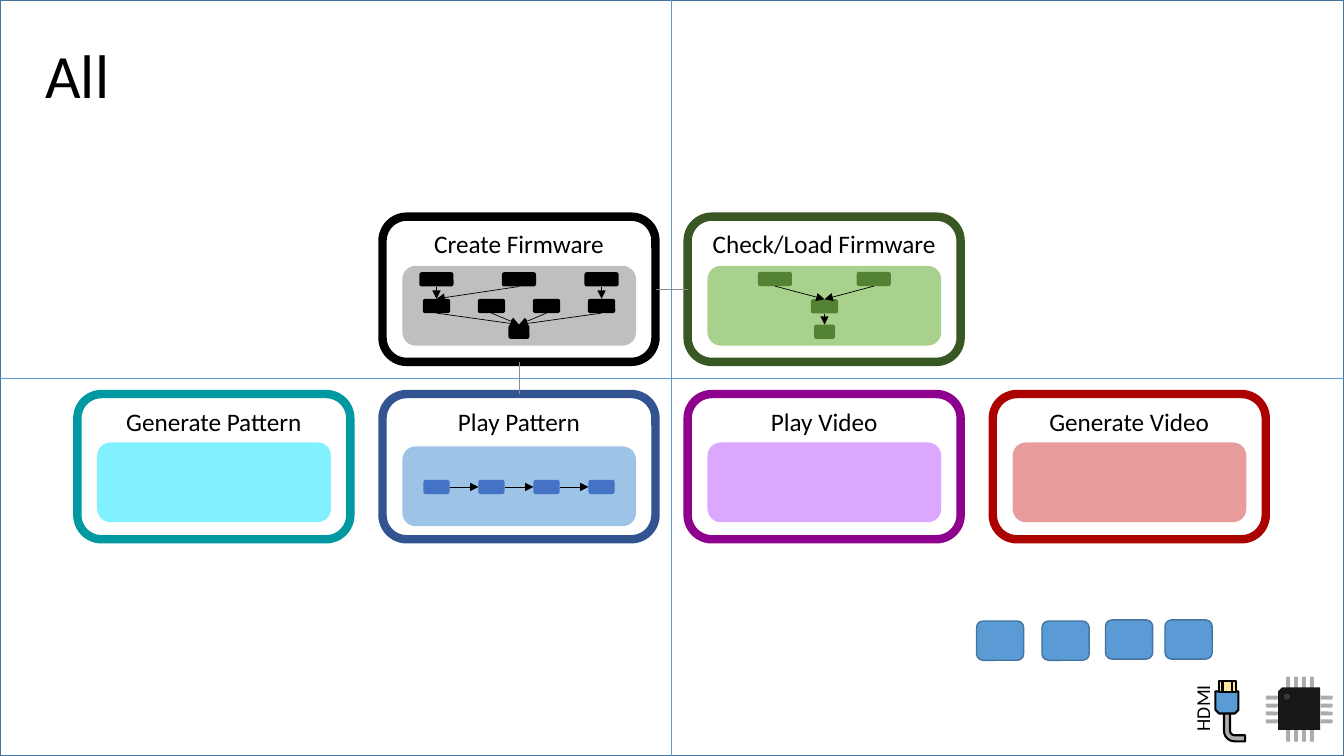
from pptx import Presentation
from pptx.dml.color import RGBColor
from pptx.enum.shapes import MSO_CONNECTOR, MSO_SHAPE
from pptx.enum.text import MSO_ANCHOR, MSO_AUTO_SIZE, PP_ALIGN
from pptx.oxml.ns import qn
from pptx.util import Cm, Pt
from lxml.etree import SubElement

WIDE, HIGH = 33.87, 19.05
BLACK, BLUE, EDGE, PIN, GOLD = "000000", "5B9BD5", "43739E", "AFABAB", "FFE699"
ROUND = MSO_SHAPE.ROUNDED_RECTANGLE


def tint(code):
    return RGBColor.from_string(code)


class Page:
    """Holds the type style and the slide, and draws each kind of element."""

    def __init__(self, slide, face):
        self.slide, self.face = slide, face

    def style(self, shape, text, size, align, anchor):
        frame = shape.text_frame
        frame.text = text
        frame.word_wrap = True
        frame.auto_size = MSO_AUTO_SIZE.NONE
        frame.vertical_anchor = anchor
        line = frame.paragraphs[0]
        line.alignment = align
        line.font.name, line.font.size = self.face, Pt(size)
        line.font.color.rgb = tint(BLACK)
        return line

    def title(self, text, *area):
        shape = self.slide.shapes.title
        shape.left, shape.top, shape.width, shape.height = map(Cm, area)
        line = self.style(shape, text, 44, PP_ALIGN.LEFT, MSO_ANCHOR.MIDDLE)
        line.line_spacing = 0.9

    def paint(self, shape, fill, edge, width):
        shape.shadow.inherit = False
        if fill:
            shape.fill.solid()
            shape.fill.fore_color.rgb = tint(fill)
        else:
            shape.fill.background()
        if edge:
            shape.line.color.rgb = tint(edge)
            shape.line.width = Pt(width)
        else:
            shape.line.fill.background()
        return shape

    def box(self, area, fill, edge=None, width=1, kind=ROUND, turn=0):
        shape = self.slide.shapes.add_shape(kind, *map(Cm, area))
        shape.rotation = turn
        return self.paint(shape, fill, edge, width)

    def node(self, mid, top, wide, fill):
        return self.box((mid - wide / 2, top, wide, 0.36), fill)

    def card(self, left, top, text, edge, fill, drop):
        shape = self.box((left, top, 6.88, 3.66), "FFFFFF", edge, 6)
        self.style(shape, text, 18, PP_ALIGN.CENTER, MSO_ANCHOR.TOP)
        self.box((left + 0.5, top + drop, 5.89, 2.01), fill)
        return shape

    def label(self, text, area, turn):
        shape = self.slide.shapes.add_textbox(*map(Cm, area))
        shape.rotation = turn
        self.style(shape, text, 14, PP_ALIGN.CENTER, MSO_ANCHOR.MIDDLE)

    def line(self, ends, color):
        link = self.slide.shapes.add_connector(MSO_CONNECTOR.STRAIGHT, *map(Cm, ends))
        link.line.color.rgb = tint(color)
        link.line.width = Pt(0.5)
        SubElement(link._element.spPr, qn("a:effectLst"))
        return link

    def join(self, start, end, out=2, into=0, color=BLACK, head=True):
        # Connection sites: 0 top, 1 left, 2 bottom, 3 right
        link = self.line((0, 0, 0, 0), color)
        link.begin_connect(start, out)
        link.end_connect(end, into)
        if head:
            SubElement(link.line._get_or_add_ln(), qn("a:tailEnd"), type="triangle")

    def outline(self, points, fill):
        first, *rest = [(Cm(x), Cm(y)) for x, y in points]
        build = self.slide.shapes.build_freeform(*first)
        build.add_line_segments(rest, close=True)
        self.paint(build.convert_to_shape(), fill, None, 0)


deck = Presentation()
deck.slide_width, deck.slide_height = Cm(WIDE), Cm(HIGH)
page = Page(deck.slides.add_slide(deck.slide_layouts[5]), "Calibri")

# Frame, title and centre guides
page.box((0, 0, WIDE, HIGH), None, EDGE, kind=MSO_SHAPE.RECTANGLE)
page.title("All", 0.89, 0.15, 29.21, 3.68)
page.line((16.92, HIGH, 16.92, 0), BLUE)
page.line((WIDE, 9.53, 0, 9.53), BLUE)

# Cards: column, top, text, edge, panel colour, panel drop
CARDS = [
    (1, 5.46, "Create Firmware", BLACK, "BFBFBF", 1.24),
    (2, 5.46, "Check/Load Firmware", "385723", "A9D18E", 1.24),
    (0, 9.93, "Generate Pattern", "0199A1", "81F0FF", 1.22),
    (1, 9.93, "Play Pattern", "325491", "9DC3E6", 1.32),
    (2, 9.93, "Play Video", "8E008E", "DBA7FF", 1.22),
    (3, 9.93, "Generate Video", "AB0101", "E89C9C", 1.22),
]
make, check, _, play, *_ = [page.card(1.95 + 7.69 * col, *rest) for col, *rest in CARDS]
page.join(play, make, 0, 2, "8C8C8C", False)
page.join(check, make, 1, 3, "8C8C8C", False)

# Create Firmware graph
steps = [11 + 1.387 * i for i in range(4)]
tops = [page.node(11 + 2.08 * i, 6.86, 0.86, BLACK) for i in range(3)]
mids = [page.node(x, 7.53, 0.69, BLACK) for x in steps]
goal = page.node(13.08, 8.18, 0.53, BLACK)
for top, mid in ((0, 0), (1, 0), (2, 3)):
    page.join(tops[top], mids[mid])
for mid in mids:
    page.join(mid, goal)

# Check/Load Firmware graph
GREEN = "548235"
hub = page.node(20.78, 7.54, 0.69, GREEN)
for x in (19.53, 22.02):
    page.join(page.node(x, 6.85, 0.86, GREEN), hub)
page.join(hub, page.node(20.78, 8.18, 0.53, GREEN))

# Play Pattern chain
chain = [page.node(x, 12.09, 0.66, "4472C4") for x in steps]
for start, end in zip(chain, chain[1:]):
    page.join(start, end, 3, 1)

# Spare blocks
for x, y in ((24.61, 15.65), (26.26, 15.65), (27.86, 15.62), (29.36, 15.62)):
    page.box((x, y, 1.19, 0.99), BLUE, EDGE)

# Chip: pins on four sides, body, dot
for i in range(4):
    step = 0.2 * i
    for x in (32.05, 33.43):
        page.box((x - 0.05, 17.43 + step, 0.1, 0.3), PIN, turn=90)
    for y in (17.2, 18.54):
        page.box((32.41 + step, y - 0.15, 0.1, 0.3), PIN, turn=180)
page.outline([(33.27, 17.32), (33.27, 18.39), (32.21, 18.39),
              (32.21, 17.42), (32.31, 17.32)], "181717")
page.box((32.36, 17.48, 0.15, 0.15), "3B3838", kind=MSO_SHAPE.OVAL)

# HDMI cable: cord, plug, contacts
page.box((30.53, 17.83, 1.09, 0.61), PIN, BLACK, 1.5, MSO_SHAPE.BENT_ARROW, 270)
page.box((30.63, 17.42, 0.58, 0.56), BLUE, BLACK, 1.5,
         MSO_SHAPE.SNIP_2_SAME_RECTANGLE, 180)
page.label("HDMI", (29.18, 17.5, 2.24, 0.69), 270)
for x, wide in ((30.73, 0.41), (30.81, 0.25)):
    page.box((x, 17.15, wide, 0.28), GOLD, BLACK, 1.5, MSO_SHAPE.RECTANGLE)

deck.save("out.pptx")
